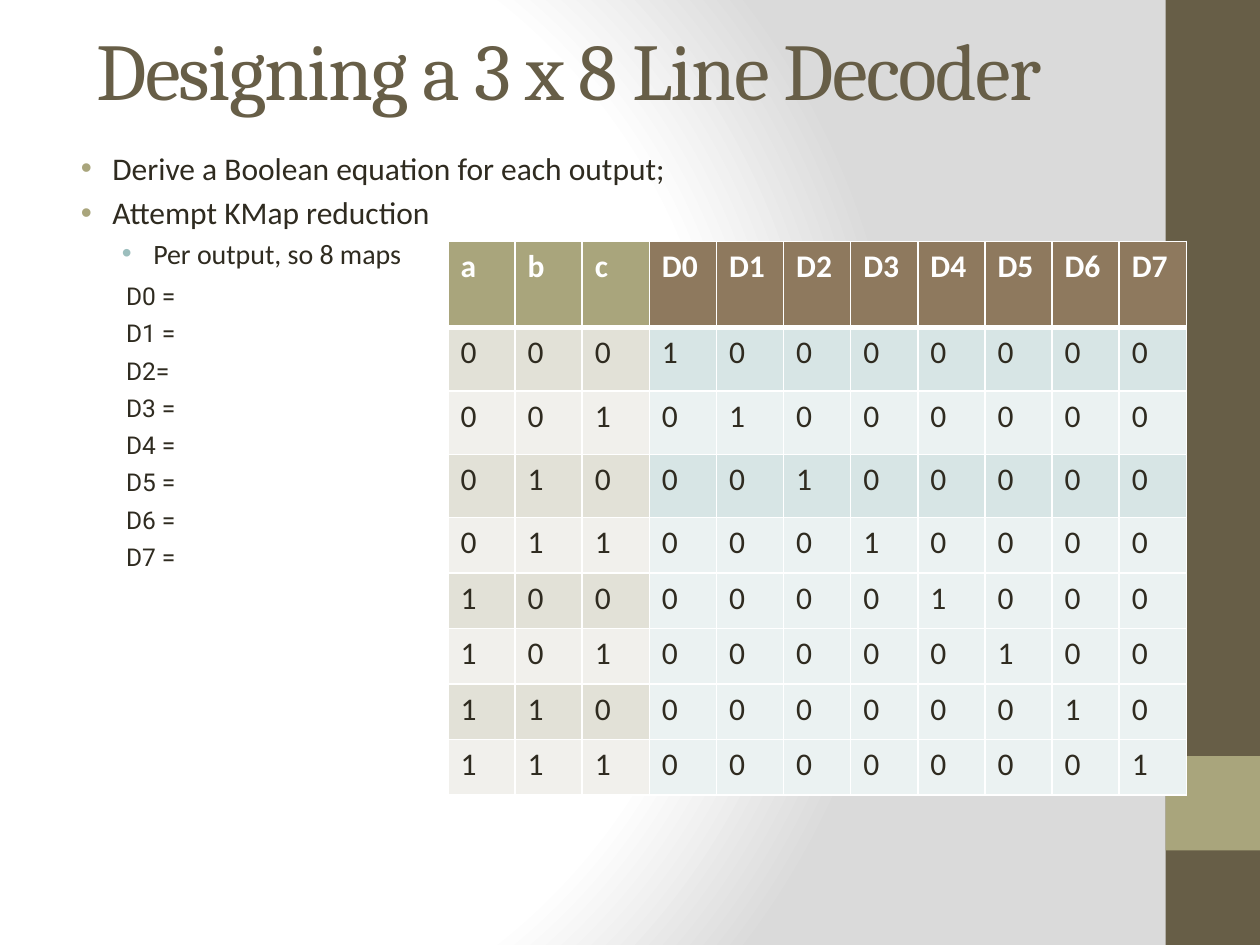
import pptx
import pptx.dml.color
import pptx.enum.shapes
import pptx.enum.text
import pptx.oxml.ns
import pptx.util
from lxml import etree

Pt = pptx.util.Pt
RGBColor = pptx.dml.color.RGBColor
qn = pptx.oxml.ns.qn

WHITE = RGBColor(0xFF, 0xFF, 0xFF)
GRAY = RGBColor(0xDA, 0xDA, 0xDA)
INK = RGBColor(0x2F, 0x2B, 0x20)
BROWN = RGBColor(0x67, 0x5E, 0x47)
OLIVE = RGBColor(0xA9, 0xA5, 0x7C)
TEAL = RGBColor(0x9C, 0xBE, 0xBD)
TAN = RGBColor(0x8E, 0x79, 0x5E)
INPUT_DARK = RGBColor(0xE2, 0xE1, 0xD7)
INPUT_LIGHT = RGBColor(0xF1, 0xF0, 0xEC)
OUTPUT_DARK = RGBColor(0xD7, 0xE5, 0xE5)
OUTPUT_LIGHT = RGBColor(0xEB, 0xF2, 0xF2)


def add_xml(parent, tag, **attributes):
    return etree.SubElement(parent, qn(tag), {k: str(v) for k, v in attributes.items()})


def place(shape, left, top, width, height):
    shape.left, shape.top = Pt(left), Pt(top)
    shape.width, shape.height = Pt(width), Pt(height)


class DecoderSlide:
    text_font = "Calibri"
    title_font = "Cambria"
    equation_font = "Roboto"

    def __init__(self, presentation):
        self.slide = presentation.slides.add_slide(presentation.slide_layouts[1])

    def style(self, paragraph, name, size, color, bold=False):
        font = paragraph.font
        font.name, font.size, font.bold = name, Pt(size), bold
        font.color.rgb = color
        return font

    def background(self, stops):
        self.slide.background.fill.solid()
        properties = self.slide.element.find(".//" + qn("p:bgPr"))
        properties.remove(properties[0])
        gradient = etree.Element(qn("a:gradFill"), rotWithShape="1")
        properties.insert(0, gradient)
        stop_list = add_xml(gradient, "a:gsLst")
        for percent, color in stops:
            stop = add_xml(stop_list, "a:gs", pos=percent * 1000)
            add_xml(stop, "a:srgbClr", val=color)
        circle = add_xml(gradient, "a:path", path="circle")
        add_xml(circle, "a:fillToRect", l=20000, t=50000, r=100000, b=50000)

    def bar(self, left, top, width, height, color):
        bar = self.slide.shapes.add_shape(
            pptx.enum.shapes.MSO_SHAPE.RECTANGLE, Pt(left), Pt(top), Pt(width), Pt(height))
        bar.shadow.inherit = False
        bar.fill.solid()
        bar.fill.fore_color.rgb = color
        bar.line.fill.background()

    def title(self, text, *box):
        title = self.slide.shapes.title
        place(title, *box)
        frame = title.text_frame
        frame.text = text
        frame.auto_size = pptx.enum.text.MSO_AUTO_SIZE.NONE
        frame.vertical_anchor = pptx.enum.text.MSO_ANCHOR.MIDDLE
        heading = frame.paragraphs[0]
        heading.alignment = pptx.enum.text.PP_ALIGN.LEFT
        self.style(heading, self.title_font, 46, BROWN)
        heading._p.pPr.find(qn("a:defRPr")).set("spc", "-100")

    def bullets(self, items, *box):
        body = self.slide.placeholders[1]
        place(body, *box)
        frame = body.text_frame
        frame.text = "\n".join(text for text, level in items)
        frame.auto_size = pptx.enum.text.MSO_AUTO_SIZE.NONE
        frame.margin_top = Pt(7.2)
        levels = [(27, 18, OLIVE), (50.4, 16, TEAL)]
        for i, (paragraph, (text, level)) in enumerate(zip(frame.paragraphs, items)):
            indent, size, bullet_color = levels[level]
            paragraph.level = level
            properties = paragraph._p.get_or_add_pPr()
            properties.set("marL", str(Pt(indent)))
            properties.set("indent", str(Pt(-18)))
            add_xml(add_xml(properties, "a:buClr"), "a:srgbClr", val=bullet_color)
            add_xml(properties, "a:buFont", typeface="Arial")
            add_xml(properties, "a:buChar", char="•")
            paragraph.space_before = Pt(size * 0.2 if i else 0)
            self.style(paragraph, self.text_font, size, INK)

    def equations(self, lines, *box):
        area = self.slide.shapes.add_textbox(*map(Pt, box))
        frame = area.text_frame
        frame.word_wrap = True
        frame.margin_left = frame.margin_right = 0
        frame.margin_top = Pt(5)
        frame.text = "\n".join(lines)
        for i, paragraph in enumerate(frame.paragraphs):
            paragraph._p.get_or_add_pPr().set("marL", str(Pt(72)))
            paragraph.line_spacing = 1.1
            paragraph.space_before = Pt(2.8 if i else 0)
            self.style(paragraph, self.equation_font, 14, INK)

    def cell(self, cell, text, fill, color, bold, bottom_width):
        cell.text = text
        self.style(cell.text_frame.paragraphs[0], self.text_font, 18, color, bold)
        properties = cell._tc.get_or_add_tcPr()
        for side in "LRTB":
            width = bottom_width if side == "B" else 1
            line = add_xml(properties, f"a:ln{side}", w=Pt(width))
            add_xml(add_xml(line, "a:solidFill"), "a:srgbClr", val=WHITE)
        cell.fill.solid()
        cell.fill.fore_color.rgb = fill

    def truth_table(self, inputs, outputs, heights, left, top, width):
        headings = inputs + outputs
        table = self.slide.shapes.add_table(
            len(heights), len(headings), Pt(left), Pt(top), Pt(width), Pt(sum(heights))).table
        table.horz_banding = False
        for column in table.columns:
            column.width = Pt(width / len(headings))
        for row, height in zip(table.rows, heights):
            row.height = Pt(height)
        for c, heading in enumerate(headings):
            fill = OLIVE if c < len(inputs) else TAN
            self.cell(table.cell(0, c), heading, fill, WHITE, True, 3)
        for number in range(len(outputs)):
            even = number % 2 == 0
            input_fill = INPUT_DARK if even else INPUT_LIGHT
            output_fill = OUTPUT_DARK if number in (0, 2) else OUTPUT_LIGHT
            bits = f"{number:0{len(inputs)}b}"
            decoded = "".join(str(int(number == n)) for n in range(len(outputs)))
            for c, digit in enumerate(bits + decoded):
                fill = input_fill if c < len(inputs) else output_fill
                self.cell(table.cell(number + 1, c), digit, fill, INK, False, 1)


def main():
    presentation = pptx.Presentation()
    presentation.slide_width, presentation.slide_height = Pt(720), Pt(540)
    decoder = DecoderSlide(presentation)

    # Backdrop and side bars
    decoder.background([(0, WHITE), (75, WHITE), (100, GRAY)])
    decoder.bar(666, 0, 54, 540, BROWN)
    decoder.bar(666, 432, 54, 54, OLIVE)

    # Title and steps
    decoder.title("Designing a 3 x 8 Line Decoder", 48, -6, 600, 90)
    decoder.bullets([
        ("Derive a Boolean equation for each output;", 0),
        ("Attempt KMap reduction", 0),
        ("Per output, so 8 maps", 1),
    ], 30, 78, 680, 398)

    # Truth table
    output_names = [f"D{n}" for n in range(8)]
    row_heights = [49.2] + [36.2] * 3 + [31.7] * 5
    decoder.truth_table(["a", "b", "c"], output_names, row_heights, 256, 138, 422)

    # Equations to fill in
    equations = ["D2=" if name == "D2" else f"{name} =" for name in output_names]
    decoder.equations(equations, 0, 154, 256, 180)

    presentation.save("out.pptx")


if __name__ == "__main__":
    main()
